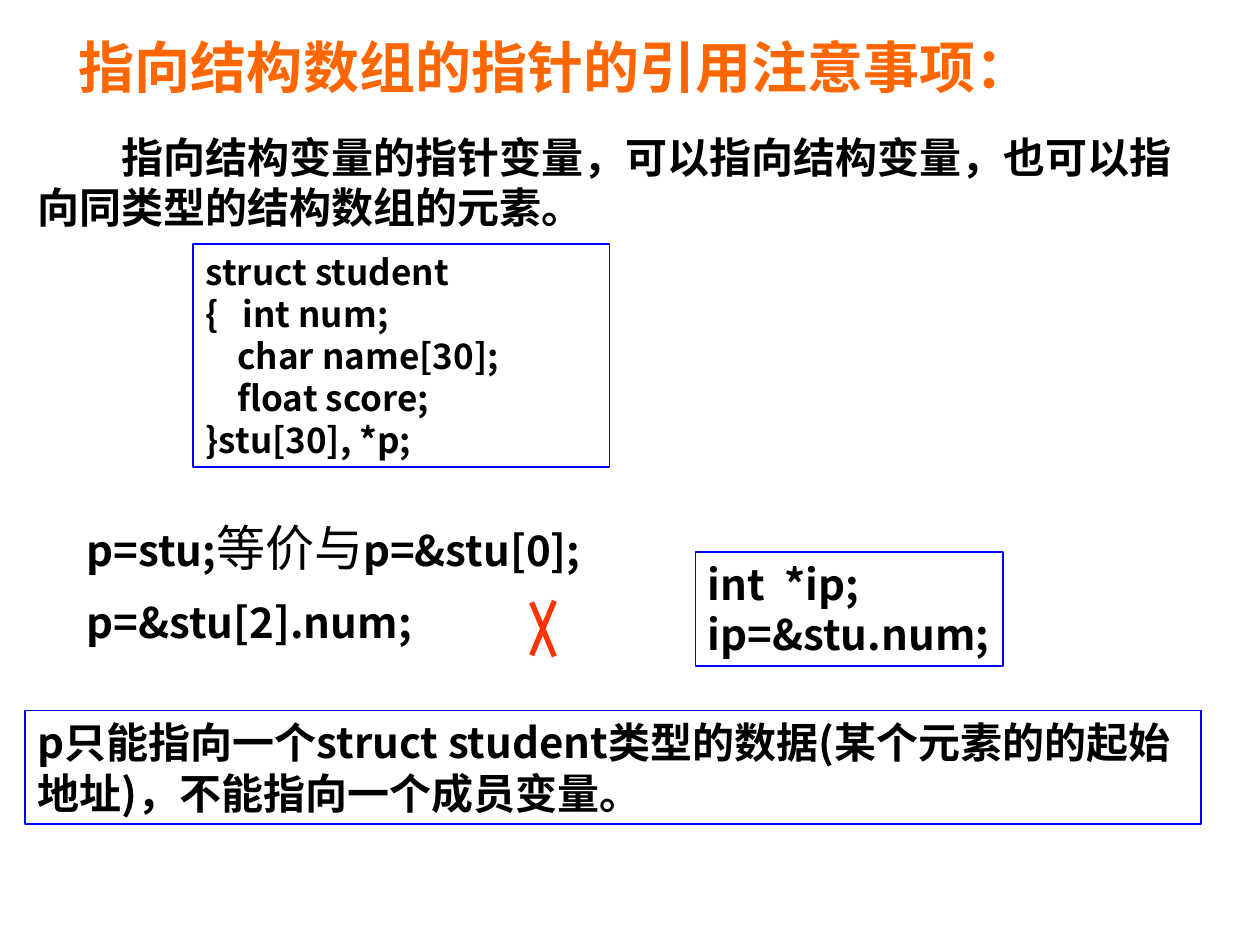
import pptx
import pptx.dml.color
import pptx.enum.shapes
import pptx.enum.text
import pptx.oxml
import pptx.oxml.ns
import pptx.util
from lxml import etree

Pt = pptx.util.Pt
RGBColor = pptx.dml.color.RGBColor
INK = RGBColor(0x01, 0x00, 0x00)
ORANGE = RGBColor(0xFF, 0x66, 0x00)
BLUE = RGBColor(0x00, 0x00, 0xFF)
RED = RGBColor(0xFF, 0x33, 0x00)
FONT = "Noto Sans CJK SC"


def style_run(run, size, color=INK, bold=True):
    run.font.size = Pt(size)
    run.font.bold = bold
    run.font.color.rgb = color
    run.font.name = FONT
    east_asian = etree.SubElement(run.font._element, pptx.oxml.ns.qn("a:ea"))
    east_asian.set("typeface", FONT)


def add_text(shapes, left, top, width, height, text, size,
             color=INK, framed=False, indent=0, wrap=True):
    if framed:
        shape = shapes.add_shape(pptx.enum.shapes.MSO_SHAPE.RECTANGLE,
                                 Pt(left), Pt(top), Pt(width), Pt(height))
        shape.shadow.inherit = False
        shape.fill.background()
        shape.line.color.rgb = BLUE
        shape.line.width = Pt(1)
    else:
        shape = shapes.add_textbox(Pt(left), Pt(top), Pt(width), Pt(height))
    text_frame = shape.text_frame
    text_frame.text = text
    text_frame.word_wrap = wrap
    text_frame.auto_size = pptx.enum.text.MSO_AUTO_SIZE.SHAPE_TO_FIT_TEXT
    text_frame.vertical_anchor = pptx.enum.text.MSO_ANCHOR.TOP
    for paragraph in text_frame.paragraphs:
        paragraph.alignment = pptx.enum.text.PP_ALIGN.LEFT
        if indent:
            paragraph._p.get_or_add_pPr().set("indent", str(Pt(indent)))
        for run in paragraph.runs:
            style_run(run, size, color)
    return shape


presentation = pptx.Presentation()
presentation.slide_width = Pt(720)
presentation.slide_height = Pt(540)
slide = presentation.slides.add_slide(presentation.slide_layouts[6])

add_text(slide.shapes, 31, 15, 575, 46, "指向结构数组的指针的引用注意事项：", 32,
         color=ORANGE, indent=7)
add_text(slide.shapes, 14.4, 71.4, 672, 65,
         "指向结构变量的指针变量，可以指向结构变量，也可以指向同类型的结构数组的元素。",
         24, indent=48)

struct_code = """struct student
{   int num;
    char name[30];
    float score;
}stu[30], *p;"""
add_text(slide.shapes, 110.4, 139.4, 238, 127.4, struct_code, 20, framed=True)
add_text(slide.shapes, 14.4, 406, 672, 65,
         "p只能指向一个struct student类型的数据(某个元素的的起始地址)，不能指向一个成员变量。",
         24, framed=True)

examples = slide.shapes.add_group_shape()
equivalence = add_text(examples.shapes, 42.4, 292.4, 340, 41, "p=stu;", 24)
for text, size, bold in (("等价与", 28, False), ("p=&stu[0];", 24, True)):
    run = equivalence.text_frame.paragraphs[0].add_run()
    run.text = text
    style_run(run, size, bold=bold)
add_text(examples.shapes, 42.4, 337.6, 222.6, 36, "p=&stu[2].num;", 24)

for start_x, start_y, end_x, end_y in ((303.8, 344.2, 316.8, 375.1),
                                       (316.8, 343.4, 303.8, 374.4)):
    cross_stroke = examples.shapes.add_connector(
        pptx.enum.shapes.MSO_CONNECTOR.STRAIGHT,
        Pt(start_x), Pt(start_y), Pt(end_x), Pt(end_y))
    cross_stroke.line.color.rgb = RED
    cross_stroke.line.width = Pt(3)
    etree.SubElement(cross_stroke._element.spPr, pptx.oxml.ns.qn("a:effectLst"))

add_text(slide.shapes, 397.4, 315.4, 175.7, 65, "int  *ip;\nip=&stu.num;", 24,
         framed=True, wrap=False)

presentation.save("out.pptx")
